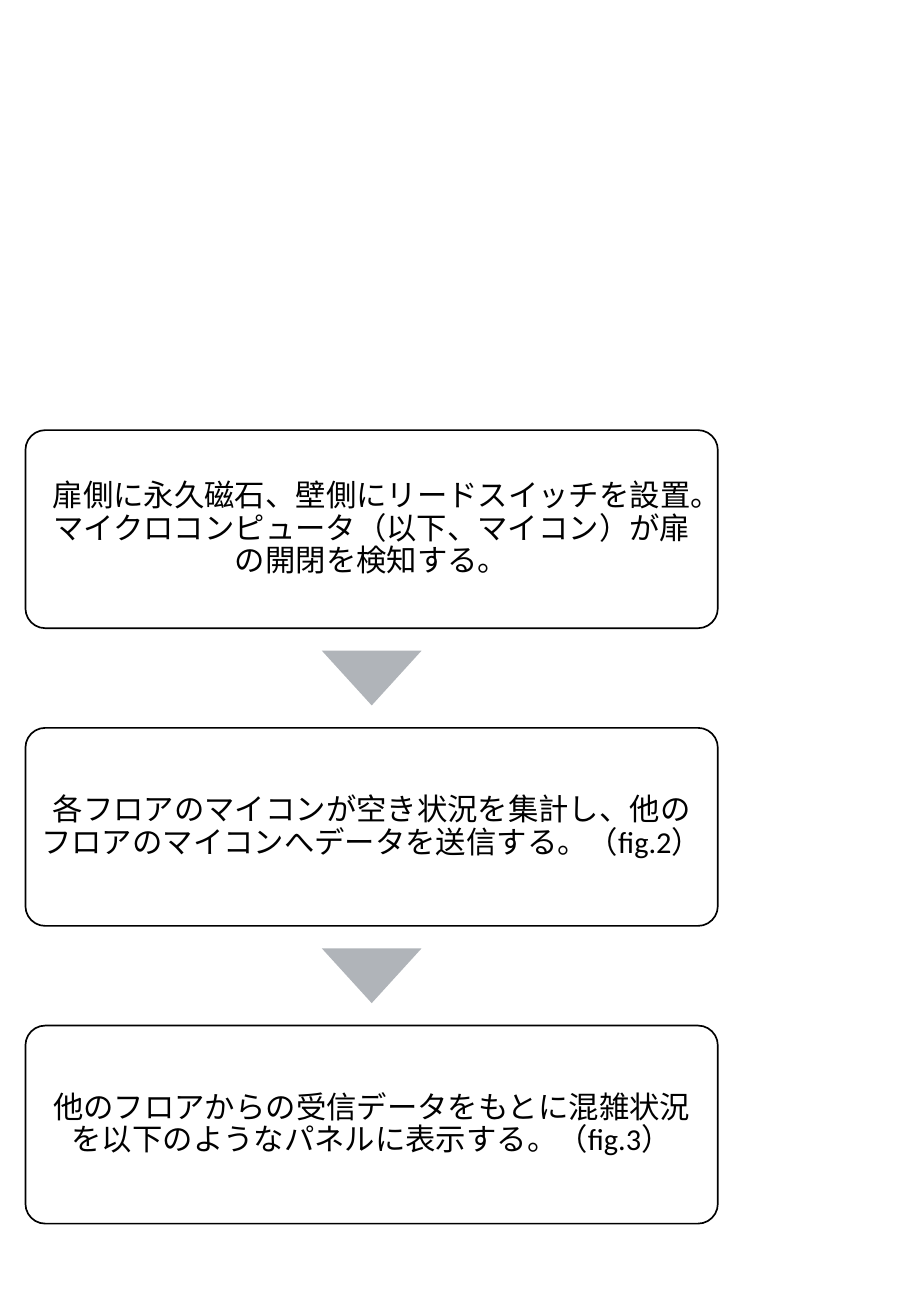
from dataclasses import dataclass

from pptx import Presentation
from pptx.dml.color import RGBColor
from pptx.enum.shapes import MSO_SHAPE
from pptx.enum.text import MSO_ANCHOR, PP_ALIGN
from pptx.slide import Slide
from pptx.util import Inches, Pt

BLACK = RGBColor(0x00, 0x00, 0x00)
GREY = RGBColor(0xB0, 0xB4, 0xB9)

# Layout in inches
STEP_LEFT, STEP_TOP = 0.21, 3.54
STEP_WIDTH, STEP_HEIGHT = 5.7, 1.63
STEP_PITCH = 2.45
ARROW_WIDTH, ARROW_HEIGHT = 0.82, 0.45
TEXT_MARGIN = Inches(0.07)


@dataclass(frozen=True)
class Step:
    text: str
    font: str


STEPS = [
    Step("扉側に永久磁石、壁側にリードスイッチを設置。"
         "マイクロコンピュータ（以下、マイコン）が扉の開閉を検知する。", "Arial"),
    Step("各フロアのマイコンが空き状況を集計し、"
         "他のフロアのマイコンへデータを送信する。（fig.2）", "Calibri"),
    Step("他のフロアからの受信データをもとに"
         "混雑状況を以下のようなパネルに表示する。（fig.3）", "Calibri"),
]


def add_step(page: Slide, step: Step, top: float) -> None:
    """Draw one outlined, rounded box with its centred text."""
    box = page.shapes.add_shape(
        MSO_SHAPE.ROUNDED_RECTANGLE, Inches(STEP_LEFT), Inches(top),
        Inches(STEP_WIDTH), Inches(STEP_HEIGHT))
    box.adjustments[0] = 0.1
    box.shadow.inherit = False
    box.fill.background()
    box.line.color.rgb = BLACK
    box.line.width = Pt(1)

    frame = box.text_frame
    frame.word_wrap = True
    frame.vertical_anchor = MSO_ANCHOR.MIDDLE
    frame.margin_left = frame.margin_right = TEXT_MARGIN
    frame.margin_top = frame.margin_bottom = TEXT_MARGIN
    para = frame.paragraphs[0]
    para.alignment = PP_ALIGN.CENTER
    para.line_spacing = 0.9
    span = para.add_run()
    span.text = step.text
    span.font.name = step.font
    span.font.size = Pt(18)
    span.font.color.rgb = BLACK


def add_arrow(page: Slide, step_top: float) -> None:
    """Draw a downward triangle centred in the gap below a step."""
    left = STEP_LEFT + (STEP_WIDTH - ARROW_WIDTH) / 2
    top = step_top + (STEP_HEIGHT + STEP_PITCH - ARROW_HEIGHT) / 2
    arrow = page.shapes.add_shape(
        MSO_SHAPE.ISOSCELES_TRIANGLE, Inches(left), Inches(top),
        Inches(ARROW_WIDTH), Inches(ARROW_HEIGHT))
    arrow.rotation = 180
    arrow.shadow.inherit = False
    arrow.fill.solid()
    arrow.fill.fore_color.rgb = GREY
    arrow.line.fill.background()


deck = Presentation()
deck.slide_width, deck.slide_height = Inches(7.5), Inches(10.83)
page = deck.slides.add_slide(deck.slide_layouts[6])

# Steps from top to bottom, with an arrow between neighbours
for index, step in enumerate(STEPS):
    step_top = STEP_TOP + index * STEP_PITCH
    add_step(page, step, step_top)
    if index < len(STEPS) - 1:
        add_arrow(page, step_top)

deck.save("out.pptx")
